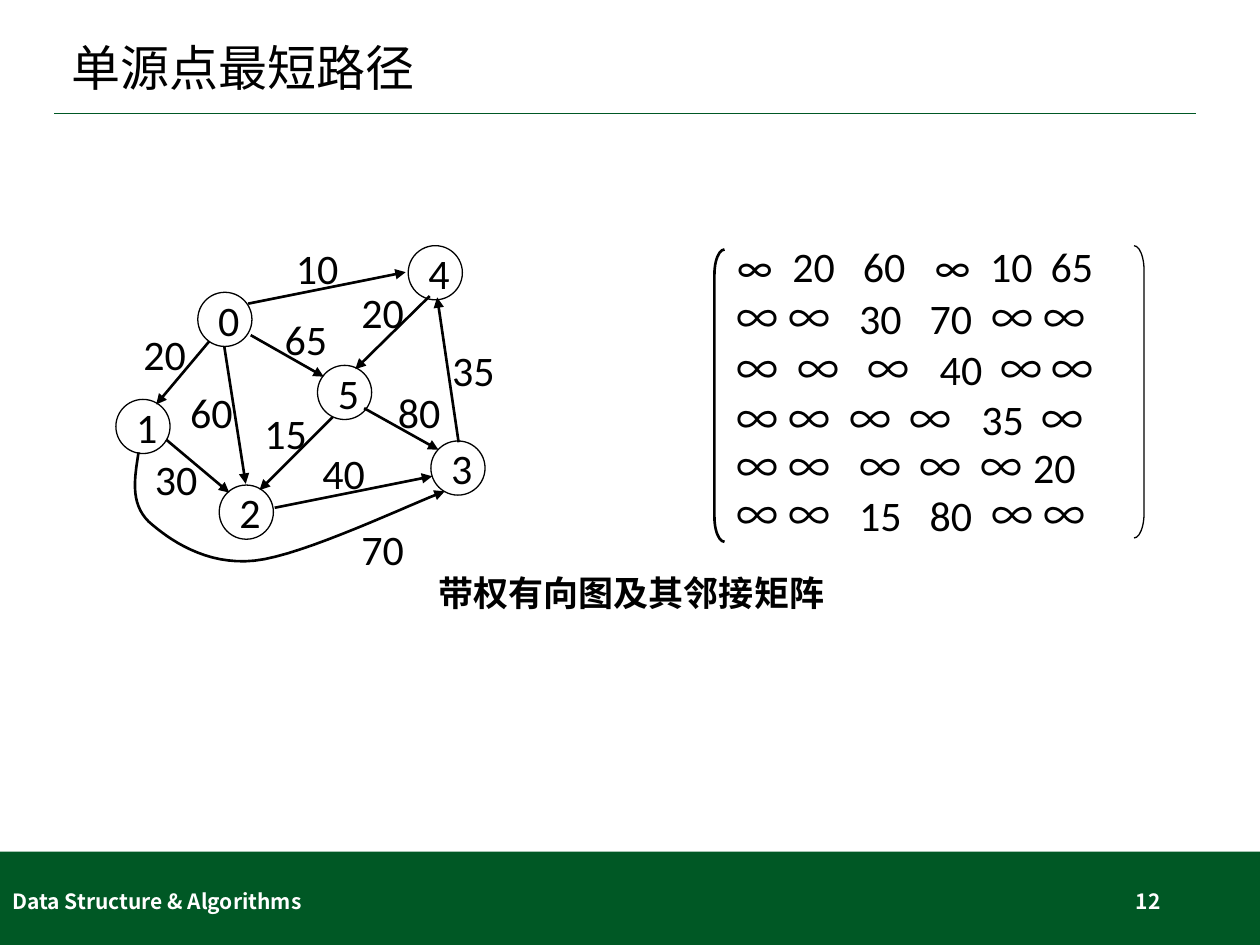
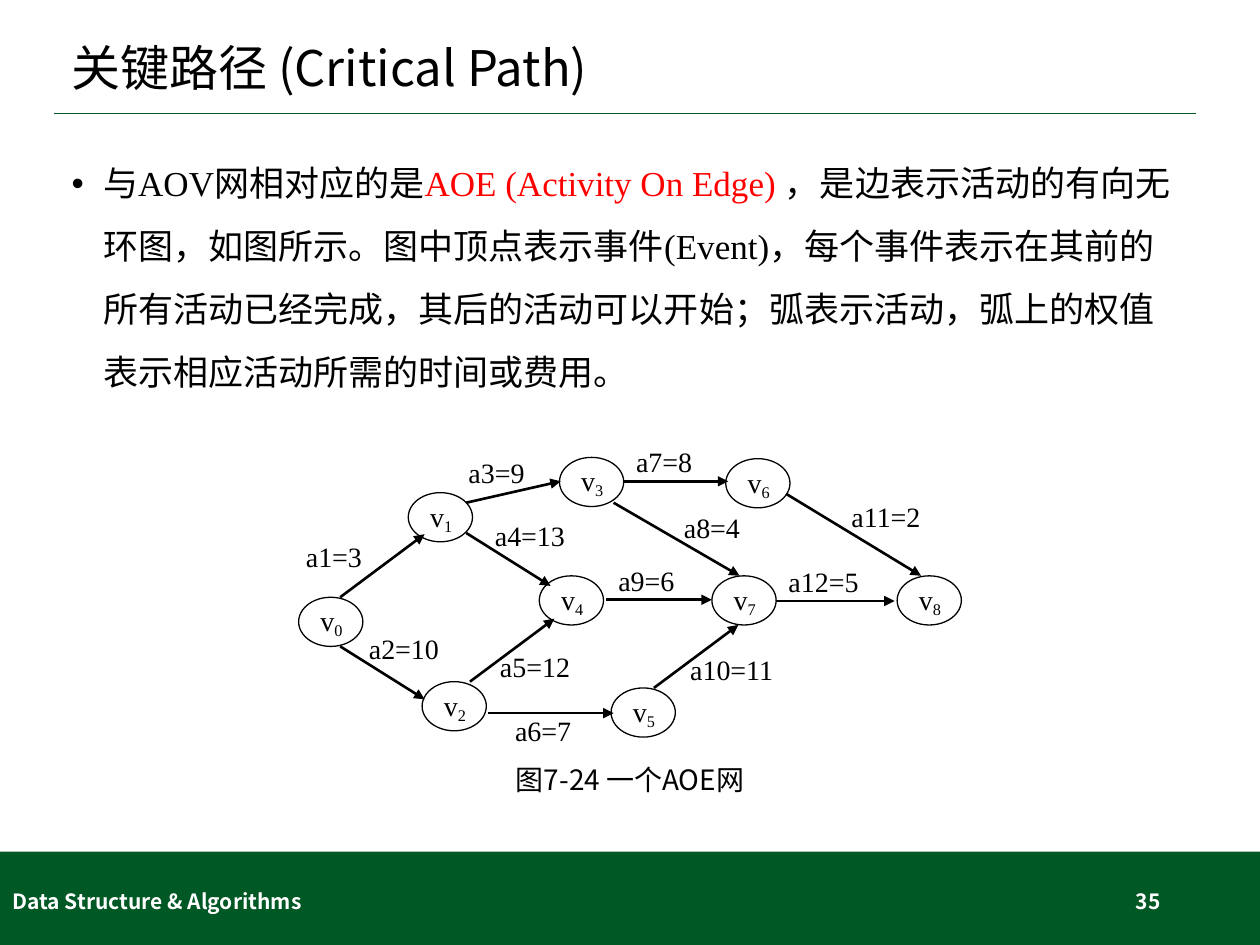
"""Builds two slides on graphs: shortest paths and the AOE network."""
from lxml import etree
from pptx import Presentation, util as u
from pptx.dml.color import RGBColor
from pptx.enum import shapes, text
from pptx.oxml.ns import qn

GREEN = RGBColor(0x00, 0x58, 0x25)
BLACK = RGBColor(0, 0, 0)
WHITE = RGBColor(255, 255, 255)
RED = RGBColor(255, 0, 0)
CJK, SANS, SERIF = "Noto Sans CJK SC", "Calibri", "Times New Roman"
WIDE, HIGH = 10, 7.5
KIND, ALIGN = shapes.MSO_SHAPE, text.PP_ALIGN

COURSE = "Data Structure & Algorithms"
TITLES = {12: "单源点最短路径", 35: "关键路径 (Critical Path)"}

COST = {
    "font": SANS, "size": 24, "node": (0.43, 0.43), "label": (0.51, 0.39),
    "nodes": [("0", 1.57, 2.32), ("1", 0.92, 3.17), ("2", 1.74, 3.85),
              ("3", 3.42, 3.5), ("4", 3.24, 1.95), ("5", 2.52, 2.9)],
    "edges": [("20", (1.04, 2.61), (1.66, 2.71), (1.24, 3.21)),
              ("30", (1.13, 3.6), (1.32, 3.49), (1.82, 3.91)),
              ("60", (1.41, 3.07), (1.78, 2.75), (1.95, 3.84)),
              ("65", (2.16, 2.49), (1.99, 2.66), (2.57, 2.99)),
              ("15", (2, 3.24), (2.64, 3.31), (2.06, 3.89)),
              ("20", (2.77, 2.28), (3.41, 2.35), (2.82, 2.93)),
              ("10", (2.25, 1.93), (1.97, 2.41), (3.22, 2.16)),
              ("80", (3.06, 3.07), (2.89, 3.24), (3.48, 3.57)),
              ("40", (2.46, 3.56), (2.18, 4.03), (3.43, 3.78)),
              ("35", (3.49, 2.74), (3.64, 3.51), (3.47, 2.36))],
}
BEND = [[(1.1, 3.59), (1.07, 3.79), (1.03, 3.99), (1.18, 4.14)],
        [(1.18, 4.14), (1.34, 4.28), (1.63, 4.49), (2.02, 4.45)],
        [(2.02, 4.45), (2.41, 4.41), (3.28, 3.99), (3.53, 3.9)]]

MATRIX = [
    (1.93, SANS, "∞ 20 60 ∞ 10 65", (0.44, 1, 1.57, 2.01, 2.49)),
    (2.35, CJK, "∞ ∞ 30 70 ∞ ∞", (0.41, 0.97, 1.53, 2.02, 2.43)),
    (2.75, CJK, "∞ ∞ ∞ 40 ∞ ∞", (0.48, 1.04, 1.61, 2.09, 2.5)),
    (3.15, CJK, "∞ ∞ ∞ ∞ 35 ∞", (0.41, 0.89, 1.37, 1.94, 2.42)),
    (3.53, CJK, "∞ ∞ ∞ ∞ ∞ 20", (0.41, 0.97, 1.45, 1.93, 2.35)),
    (3.91, CJK, "∞ ∞ 15 80 ∞ ∞", (0.41, 0.97, 1.53, 2.02, 2.43)),
]

AOE = {
    "font": SERIF, "size": 16, "node": (0.51, 0.39), "label": (0.83, 0.35),
    "nodes": [("v0", 2.37, 4.74), ("v1", 3.24, 3.91), ("v2", 3.35, 5.41),
              ("v3", 4.44, 3.63), ("v4", 4.28, 4.57), ("v5", 4.85, 5.46),
              ("v6", 5.76, 3.64), ("v7", 5.65, 4.57), ("v8", 7.12, 4.57)],
    "edges": [("a1=3", (2.33, 4.24), (2.7, 4.74), (3.37, 4.24)),
              ("a2=10", (2.83, 4.97), (2.7, 5.13), (3.37, 5.55)),
              ("a3=9", (3.62, 3.57), (3.7, 3.99), (4.45, 3.82)),
              ("a4=13", (3.83, 4.07), (3.7, 4.23), (4.37, 4.65)),
              ("a5=12", (3.87, 5.11), (3.73, 5.41), (4.4, 4.91)),
              ("a6=7", (3.99, 5.62), (3.87, 5.66), (4.87, 5.66)),
              ("a7=8", (4.95, 3.49), (4.95, 3.82), (5.78, 3.82)),
              ("a8=4", (5.33, 4.01), (4.87, 3.99), (5.87, 4.57)),
              ("a9=6", (4.81, 4.43), (4.81, 4.76), (5.65, 4.76)),
              ("a10=11", (5.38, 5.14), (5.19, 5.46), (5.86, 4.96)),
              ("a11=2", (6.66, 3.92), (6.24, 3.92), (7.31, 4.57)),
              ("a12=5", (6.16, 4.44), (6.16, 4.77), (7.1, 4.77))],
}
BODY = [
    ("与AOV网相对应的是", {}),
    ("AOE (Activity On Edge) ", {"color": RED}),
    ("，是边表示活动的有向无环图，如图所示。图中顶点表示事件(Event)，每个事件表示在其前的所有活动"
     "已经完成，其后的活动可以开始；弧表示活动，弧上的权值表示相应活动所需的时间或费用。", {}),
]


def inch(*vals):
    return [u.Inches(v) for v in vals]


def sub(node, tag, **attrs):
    return etree.SubElement(node, qn(tag), **attrs)


def write(shape, runs, font=CJK, size=24, color=BLACK, bold=False, wrap=False,
          align=ALIGN.LEFT, anchor=text.MSO_ANCHOR.MIDDLE, right=0.1):
    frame = shape.text_frame
    frame.word_wrap, frame.vertical_anchor = wrap, anchor
    frame.margin_right = u.Inches(right)
    para = frame.paragraphs[0]
    para.alignment = align
    for words, form in [(runs, {})] if isinstance(runs, str) else runs:
        run = para.add_run()
        run.text = words
        look = {"name": form.get("font", font), "size": u.Pt(size), "bold": bold}
        for key, val in look.items():
            setattr(run.font, key, val)
        run.font.color.rgb = form.get("color", color)
        props = run.font._element
        east = CJK if any("一" <= c <= "鿿" for c in words) else look["name"]
        sub(props, "a:ea", typeface=east)
        if "base" in form:
            props.set("baseline", form["base"])
    return para


def label(slide, box, runs, **form):
    return write(slide.shapes.add_textbox(*inch(*box)), runs, **form)


def ink(shape, width, color=BLACK, arrow=False):
    shape.line.color.rgb = color
    shape.line.width = u.Pt(width)
    if arrow:
        sub(shape.line._get_or_add_ln(), "a:tailEnd", type="triangle")


def draw(slide, kind, box, fill=None, width=0.75):
    shape = slide.shapes.add_shape(kind, *inch(*box))
    shape.shadow.inherit = False
    if fill is None:
        shape.fill.background()
        ink(shape, width)
    else:
        shape.fill.solid()
        shape.fill.fore_color.rgb = fill
        shape.line.fill.background()
    return shape


def link(slide, start, end, width=1.5, color=BLACK, arrow=True):
    line = slide.shapes.add_connector(
        shapes.MSO_CONNECTOR.STRAIGHT, *inch(*start, *end))
    ink(line, width, color, arrow)
    sub(line._element.spPr, "a:effectLst")


def base(deck, page):
    slide = deck.slides.add_slide(deck.slide_layouts[6])
    draw(slide, KIND.RECTANGLE, (0, 6.76, WIDE, HIGH - 6.76), GREEN)
    link(slide, (0.43, 0.9), (9.49, 0.9), 1, GREEN, False)
    para = label(slide, (0.47, 0.23, 9.06, 0.66), TITLES[page], size=28, wrap=True)
    para.line_spacing = 0.9
    foot = {"size": 12, "color": WHITE, "bold": True, "wrap": True}
    label(slide, (0, 6.95, 3.38, 0.4), COURSE, **foot)
    label(slide, (7.06, 6.95, 2.25, 0.4), str(page), align=ALIGN.RIGHT, **foot)
    return slide


def graph(slide, net):
    form = {"font": net["font"], "size": net["size"]}
    for name, x, y in net["nodes"]:
        runs = [(name[0], {})] + [(c, {"base": "-18000"}) for c in name[1:]]
        write(draw(slide, KIND.OVAL, (x, y, *net["node"])), runs, **form)
    for words, spot, start, end in net["edges"]:
        label(slide, (*spot, *net["label"]), words, right=0, **form)
        link(slide, start, end)


def curve(slide, parts, steps=16):
    def at(part, t):
        mix = ((1 - t) ** 3, 3 * t * (1 - t) ** 2, 3 * t * t * (1 - t), t ** 3)
        return inch(*(sum(m * p[i] for m, p in zip(mix, part)) for i in (0, 1)))

    dots = [at(part, n / steps) for part in parts for n in range(1, steps + 1)]
    pen = slide.shapes.build_freeform(*inch(*parts[0][0]))
    pen.add_line_segments(dots, close=False)
    shape = pen.convert_to_shape()
    shape.shadow.inherit = False
    shape.fill.background()
    ink(shape, 1.5, arrow=True)


def matrix(slide):
    for top, font, cells, stops in MATRIX:
        runs = [("\t" * (n > 0) + cell, {"font": font if cell == "∞" else SANS})
                for n, cell in enumerate(cells.split())]
        para = label(slide, (5.75, top, 3.19, 0.35), runs, wrap=True)
        tabs = sub(para._p.get_or_add_pPr(), "a:tabLst")
        for stop in stops:
            sub(tabs, "a:tab", pos=str(u.Inches(stop)), algn="l")
    for kind, x, y, width in [(KIND.LEFT_BRACKET, 5.67, 1.98, 1.5),
                              (KIND.RIGHT_BRACKET, 9, 1.95, 0.75)]:
        draw(slide, kind, (x, y, 0.08, 2.32), width=width).adjustments[0] = 2.48


def paths(deck):
    slide = base(deck, 12)
    graph(slide, COST)
    label(slide, (2.77, 4.16, *COST["label"]), "70", font=SANS, right=0)
    curve(slide, BEND)
    label(slide, (2.95, 4.53, 4.12, 0.35),
          [("带权有向图及其", {}), ("邻接", {"font": CJK}), ("矩阵", {})],
          font=SANS, size=20, bold=True, align=ALIGN.CENTER)
    matrix(slide)


def events(deck):
    slide = base(deck, 35)
    para = label(slide, (0.47, 1.07, 9.06, 5.54), BODY, font=SERIF, size=20,
                 wrap=True, anchor=text.MSO_ANCHOR.TOP)
    para.line_spacing = 1.5
    props = para._p.get_or_add_pPr()
    for key, val in {"marL": 0.25, "indent": -0.25}.items():
        props.set(key, str(u.Inches(val)))
    sub(props, "a:buFont", typeface="Arial")
    sub(props, "a:buChar", char="•")
    graph(slide, AOE)
    label(slide, (3.76, 5.99, 2.48, 0.39), "图7-24 一个AOE网", size=16,
          align=ALIGN.CENTER)


def main():
    deck = Presentation()
    deck.slide_width, deck.slide_height = inch(WIDE, HIGH)
    paths(deck)
    events(deck)
    deck.save("out.pptx")


if __name__ == "__main__":
    main()
